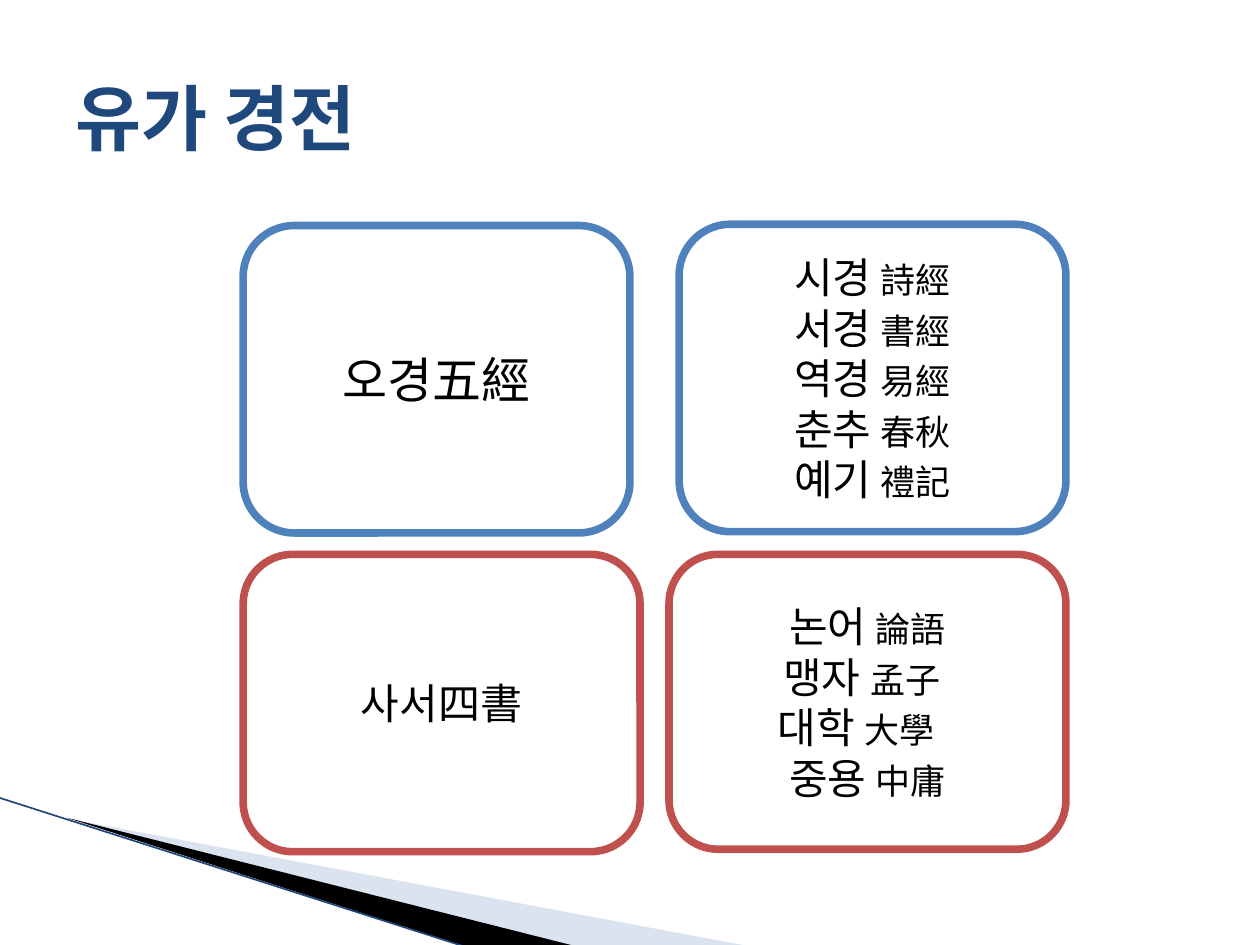
from dataclasses import dataclass

from lxml.etree import SubElement
from pptx import Presentation
from pptx.dml.color import RGBColor as Rgb
from pptx.enum.shapes import MSO_CONNECTOR as Conn, MSO_SHAPE as Kind
from pptx.enum.text import MSO_ANCHOR as Anchor, PP_ALIGN as Align
from pptx.oxml.ns import qn
from pptx.util import Inches as In, Pt


@dataclass(frozen=True)
class Theme:
    font: str = "Courier New"
    title: str = "1F497D"
    ink: str = "000000"
    paper: str = "FFFFFF"
    blue: str = "4F81BD"
    red: str = "C0504D"
    pale: str = "A7B9DB"
    head: int = 41
    big: int = 28
    mid: int = 24
    small: int = 20
    edge: float = 4.33
    thin: float = 0.95


T = Theme()
WIDE, HIGH = 10, 7.5
LEFT, RIGHT = 1.93, 8.46  # outer edges of the card grid
STEP = 0.09               # shift of one indent level

FIVE = [("시경", "詩經"), ("서경", "書經"), ("역경", "易經"),
        ("춘추", "春秋"), ("예기", "禮記")]
FOUR = [("논어", "論語"), ("맹자", "孟子"), ("대학", "大學"), ("중용", "中庸")]


def put(obj, **vals):
    for key, val in vals.items():
        setattr(obj, key, val)


def paint(fill, color):
    fill.solid()
    fill.fore_color.rgb = Rgb.from_string(color)


def write(para, text, size, color=T.ink, bold=False):
    run = para.add_run()
    run.text = text
    put(run.font, name=T.font, size=Pt(size), bold=bold)
    run.font.color.rgb = Rgb.from_string(color)


def add_title(slide, text):
    box = slide.shapes.title
    put(box, left=In(0.05 * WIDE), top=In(0.04 * HIGH),
        width=In(0.9 * WIDE), height=In(HIGH / 6))
    box.text_frame.vertical_anchor = Anchor.MIDDLE
    para = box.text_frame.paragraphs[0]
    para.alignment = Align.LEFT
    write(para, text, T.head, T.title, True)


def add_wedge(slide, points, color, alpha=None):
    pen = slide.shapes.build_freeform(*map(In, points[0]), scale=1.0)
    pen.add_line_segments([(In(x), In(y)) for x, y in points[1:]])
    shape = pen.convert_to_shape()
    shape.shadow.inherit = False
    shape.line.fill.background()
    paint(shape.fill, color)
    if alpha:
        tint = shape.fill._xPr.find(".//" + qn("a:srgbClr"))
        SubElement(tint, qn("a:alpha")).set("val", str(alpha * 1000))


def add_line(slide, start, end, color):
    line = slide.shapes.add_connector(Conn.STRAIGHT, *map(In, start + end))
    line.line.width = Pt(T.thin)
    line.line.color.rgb = Rgb.from_string(color)
    SubElement(line._element.spPr, qn("a:effectLst"))


def add_card(slide, col, top, width, height, color, rows, levels=()):
    """Each row is a list of (text, size); levels pull single rows left."""
    left = RIGHT - width if col else LEFT
    card = slide.shapes.add_shape(
        Kind.ROUNDED_RECTANGLE, In(left), In(top), In(width), In(height))
    card.shadow.inherit = False
    paint(card.fill, T.paper)
    paint(card.line.fill, color)
    card.line.width = Pt(T.edge)
    frame = card.text_frame
    put(frame, word_wrap=True, vertical_anchor=Anchor.MIDDLE)
    if levels:
        put(frame, margin_left=0, margin_right=In(STEP * max(levels)))
    for i, row in enumerate(rows):
        para = frame.add_paragraph() if i else frame.paragraphs[0]
        para.alignment = Align.CENTER
        if levels:
            para._p.get_or_add_pPr().set("marL", str(In(STEP * levels[i])))
        for text, size in row:
            write(para, text, size)


def pairs(names):
    return [[(ko + " ", T.mid), (han, T.small)] for ko, han in names]


def main():
    prs = Presentation()
    put(prs, slide_width=In(WIDE), slide_height=In(HIGH))
    slide = prs.slides.add_slide(prs.slide_layouts[5])

    # Corner decoration
    add_wedge(slide, [(0.55, 6.5), (5.95, 7.51), (4.56, 7.51)], T.pale, 40)
    add_wedge(slide, [(0.53, 6.49), (4.57, 7.51), (3.72, 7.52)], T.ink)
    add_line(slide, (-0.01, 6.33), (3.71, 7.52), T.title)

    add_title(slide, "유가 경전")

    # Collections on the left, their books on the right
    add_card(slide, 0, 1.79, 3.07, 2.44, T.blue, [[("오경五經", T.big)]])
    add_card(slide, 0, 4.4, 3.15, 2.36, T.red, [[("사서四書", T.mid)]])
    add_card(slide, 1, 1.78, 3.07, 2.44, T.blue, pairs(FIVE))
    add_card(slide, 1, 4.4, 3.15, 2.34, T.red, pairs(FOUR), (2, 1, 0, 2))

    prs.save("out.pptx")


if __name__ == "__main__":
    main()
